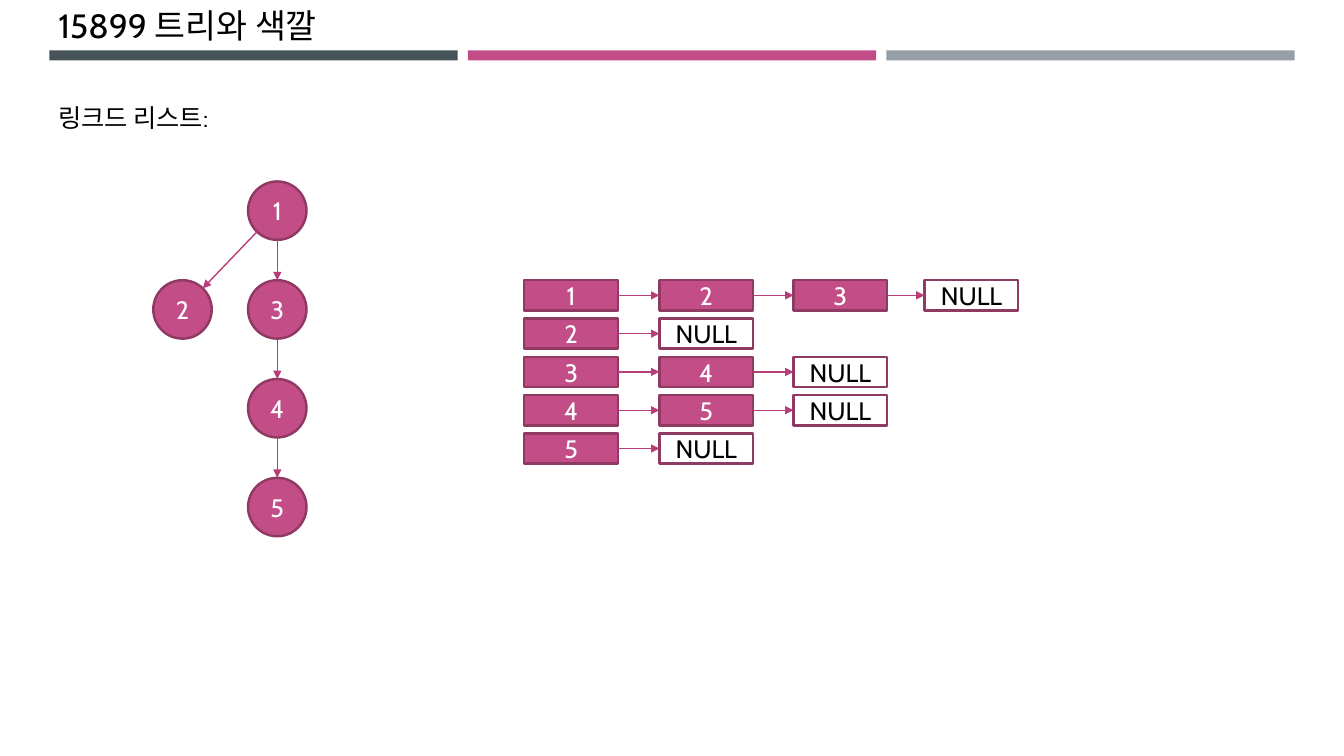
import math

import pptx
import pptx.dml.color
import pptx.enum.shapes
import pptx.enum.text
import pptx.oxml
import pptx.oxml.ns
import pptx.util

TITLE = "15899 트리와 색깔"
SUBTITLE = "링크드 리스트:"
LINKED_LISTS = [
    ["1", "2", "3", "NULL"],
    ["2", "NULL"],
    ["3", "4", "NULL"],
    ["4", "5", "NULL"],
    ["5", "NULL"],
]
TREE_CELLS = {"1": (1, 0), "2": (0, 1), "3": (1, 1), "4": (1, 2), "5": (1, 3)}  # column, row
TREE_EDGES = [("1", "2"), ("1", "3"), ("3", "4"), ("4", "5")]

THEME = {
    "font": "Cabin", "title": 24, "body": 18, "outline": 1.75, "arrow": 1,
    "bars": ["465359", "C34D86", "969FA7"],
    "accent": "C34D86", "border": "903963", "link": "B73E78",
    "dark": "000000", "light": "FFFFFF",
}

PX = 9144  # 100 px to the inch
BAR_LEFT, BAR_TOP, BAR_WIDTH, BAR_HEIGHT, BAR_PITCH = 49, 50, 405, 10, 415
BOX_COLUMNS = [520, 654, 787, 917]
BOX_TOP, BOX_WIDTH, BOX_HEIGHT, BOX_PITCH = 278, 93, 30, 38
NODE_LEFT, NODE_TOP, NODE_SIZE, NODE_PITCH_X, NODE_PITCH_Y = 152, 180, 58, 94, 98

SHAPES = pptx.enum.shapes.MSO_SHAPE
CENTER = pptx.enum.text.PP_ALIGN.CENTER
MIDDLE = pptx.enum.text.MSO_ANCHOR.MIDDLE


def px(*lengths):
    return [pptx.util.Emu(round(length * PX)) for length in lengths]


def rgb(color):
    return pptx.dml.color.RGBColor.from_string(color)


def write_text(shape, text, size=THEME["body"], color=THEME["dark"], align=None, anchor=None):
    frame = shape.text_frame
    frame.word_wrap = True
    if anchor is not None:
        frame.vertical_anchor = anchor
    paragraph = frame.paragraphs[0]
    paragraph.alignment = align
    run = paragraph.add_run()
    run.text = text
    run.font.name = THEME["font"]
    run.font.size = pptx.util.Pt(size)
    run.font.color.rgb = rgb(color)


def add_text_box(slide, text, bounds, size):
    box = slide.shapes.add_textbox(*px(*bounds))
    write_text(box, text, size=size)
    box.text_frame.auto_size = pptx.enum.text.MSO_AUTO_SIZE.SHAPE_TO_FIT_TEXT


def add_block(slide, kind, bounds, fill=None, border=None):
    shape = slide.shapes.add_shape(kind, *px(*bounds))
    shape.shadow.inherit = False
    if fill:
        shape.fill.solid()
        shape.fill.fore_color.rgb = rgb(fill)
    else:
        shape.fill.background()
    if border:
        shape.line.color.rgb = rgb(border)
        shape.line.width = pptx.util.Pt(THEME["outline"])
    else:
        shape.line.fill.background()
    return shape


def add_labelled(slide, kind, bounds, label):
    """Add a list box or tree node; NULL is left unfilled."""
    empty = label == "NULL"
    shape = add_block(slide, kind, bounds, None if empty else THEME["accent"], THEME["border"])
    write_text(shape, label, color=THEME["dark" if empty else "light"], align=CENTER, anchor=MIDDLE)
    return shape


def add_arrow(slide, start=(0, 0), end=(0, 0)):
    straight = pptx.enum.shapes.MSO_CONNECTOR.STRAIGHT
    arrow = slide.shapes.add_connector(straight, *px(*start, *end))
    arrow.line.color.rgb = rgb(THEME["link"])
    arrow.line.width = pptx.util.Pt(THEME["arrow"])
    head = pptx.oxml.parse_xml(f'<a:tailEnd {pptx.oxml.ns.nsdecls("a")} type="triangle"/>')
    arrow.line._get_or_add_ln().append(head)
    properties = arrow._element.spPr
    properties.append(pptx.oxml.parse_xml(f'<a:effectLst {pptx.oxml.ns.nsdecls("a")}/>'))
    return arrow


def add_header(slide):
    for index, color in enumerate(THEME["bars"]):
        left = BAR_LEFT + index * BAR_PITCH
        add_block(slide, SHAPES.RECTANGLE, (left, BAR_TOP, BAR_WIDTH, BAR_HEIGHT), color)
    add_text_box(slide, TITLE, (48, 0, 1237, 50), THEME["title"])
    add_text_box(slide, SUBTITLE, (48, 97, 1233, 40), THEME["body"])


def add_linked_lists(slide):
    for row, labels in enumerate(LINKED_LISTS):
        top = BOX_TOP + row * BOX_PITCH
        boxes = [
            add_labelled(slide, SHAPES.RECTANGLE, (left, top, BOX_WIDTH, BOX_HEIGHT), label)
            for left, label in zip(BOX_COLUMNS, labels)
        ]
        for box, next_box in zip(boxes, boxes[1:]):
            arrow = add_arrow(slide)
            arrow.begin_connect(box, 3)
            arrow.end_connect(next_box, 1)


def add_tree(slide):
    radius = NODE_SIZE / 2
    centers = {}
    for label, (column, row) in TREE_CELLS.items():
        left = NODE_LEFT + column * NODE_PITCH_X
        top = NODE_TOP + row * NODE_PITCH_Y
        add_labelled(slide, SHAPES.OVAL, (left, top, NODE_SIZE, NODE_SIZE), label)
        centers[label] = (left + radius, top + radius)
    for parent, child in TREE_EDGES:
        (x1, y1), (x2, y2) = centers[parent], centers[child]
        share = radius / math.hypot(x2 - x1, y2 - y1)
        dx, dy = (x2 - x1) * share, (y2 - y1) * share
        add_arrow(slide, (x1 + dx, y1 + dy), (x2 - dx, y2 - dy))


def main():
    presentation = pptx.Presentation()
    presentation.slide_width, presentation.slide_height = px(1333, 750)
    slide = presentation.slides.add_slide(presentation.slide_layouts[6])
    add_header(slide)
    add_linked_lists(slide)
    add_tree(slide)
    presentation.save("out.pptx")


if __name__ == "__main__":
    main()
